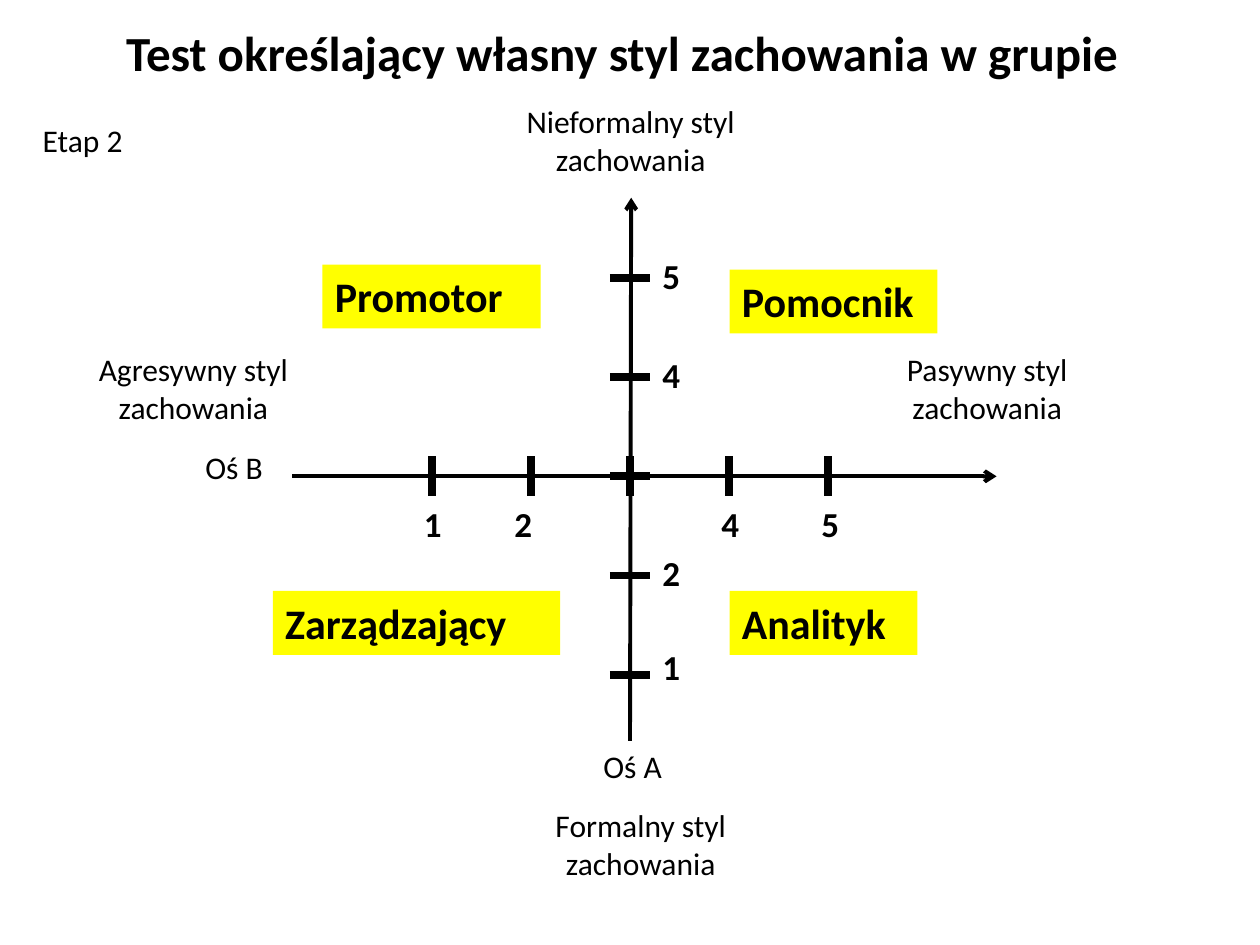
import pptx
import pptx.dml.color
import pptx.enum.shapes
import pptx.enum.text
import pptx.oxml
import pptx.oxml.ns
import pptx.util
from lxml import etree

Pt = pptx.util.Pt
RGB = pptx.dml.color.RGBColor
ALIGN = pptx.enum.text.PP_ALIGN
BLACK = RGB(0x00, 0x00, 0x00)
YELLOW = RGB(0xFF, 0xFF, 0x00)

# Text formats
PLAIN = {"name": "Calibri", "size": Pt(18), "bold": False}
DIGIT = {"name": "Calibri", "size": Pt(20), "bold": True}
ROLE = {"name": "Calibri", "size": Pt(24), "bold": True}
TITLE = {"name": "Calibri", "size": Pt(28), "bold": True}

# Axis grid: centre, gap between ticks, half the tick length
MID_X, MID_Y = 360, 272.2
STEP, HALF = 56.65, 11.5

# Value, shift of the digit's box from its tick
DIGITS_B = [(1, -11.5), (2, -16.5), (4, -11.5), (5, -11)]
DIGITS_A = [(1, -20.3), (2, -17.2), (4, -16.8), (5, -17)]

STYLES = [
    ("Agresywny styl zachowania", 36.7, 196.6),
    ("Pasywny styl zachowania", 490.3, 196.6),
    ("Formalny styl zachowania", 292.3, 457.2),
    ("Nieformalny styl zachowania", 286.6, 54.7),
]
ROLES = [
    ("Zarządzający", 155.9, 337.7, 164.2),
    ("Promotor", 184.3, 151.2, 124.6),
    ("Analityk", 416.9, 337.7, 107.3),
    ("Pomocnik", 416.9, 154.1, 118.8),
]
NOTES = [
    ("Oś A", 337.7, 423.4, 67.7),
    ("Oś B", 110.2, 252.7, 68.4),
    ("Etap 2", 17.3, 65.5, 87.8),
]


def write(shape, text, form, align=ALIGN.LEFT):
    frame = shape.text_frame
    frame.word_wrap = True
    frame.vertical_anchor = pptx.enum.text.MSO_ANCHOR.TOP
    para = frame.paragraphs[0]
    para.alignment = align
    run = para.add_run()
    run.text = text
    run.font.color.rgb = BLACK
    for key, value in form.items():
        setattr(run.font, key, value)


def label(slide, text, box, form, align=ALIGN.LEFT):
    shape = slide.shapes.add_textbox(*map(Pt, box))
    write(shape, text, form, align)


def panel(slide, text, box):
    kind = pptx.enum.shapes.MSO_SHAPE.RECTANGLE
    shape = slide.shapes.add_shape(kind, *map(Pt, box))
    shape.shadow.inherit = False
    shape.fill.solid()
    shape.fill.fore_color.rgb = YELLOW
    shape.line.fill.background()
    write(shape, text, ROLE)


def stroke(slide, ends, width, arrow=False):
    kind = pptx.enum.shapes.MSO_CONNECTOR.STRAIGHT
    line = slide.shapes.add_connector(kind, *map(Pt, ends))
    line.line.color.rgb = BLACK
    line.line.width = Pt(width)
    qn = pptx.oxml.ns.qn
    if arrow:
        etree.SubElement(line.line._get_or_add_ln(), qn("a:tailEnd"), type="arrow")
    etree.SubElement(line._element.spPr, qn("a:effectLst"))


def tick_x(value):
    return MID_X + (value - 3) * STEP


def tick_y(value):
    return MID_Y - (value - 3) * STEP


def axes(slide):
    stroke(slide, (MID_X, 423.4, 360.7, 113), 2.25, arrow=True)
    stroke(slide, (167, MID_Y, 569.5, MID_Y), 2.25, arrow=True)
    for value in range(1, 6):
        y = tick_y(value)
        stroke(slide, (MID_X - HALF, y, MID_X + HALF, y), 4.5)
    for value in range(1, 6):
        x = tick_x(value)
        stroke(slide, (x, MID_Y - HALF, x, MID_Y + HALF), 4.5)


def digits(slide):
    for value, shift in DIGITS_B:
        label(slide, str(value), (tick_x(value) + shift, 283.7, 28, 31.7), DIGIT)
    for value, shift in DIGITS_A:
        label(slide, str(value), (371.5, tick_y(value) + shift, 28, 31.7), DIGIT)


def main():
    deck = pptx.Presentation()
    deck.slide_width, deck.slide_height = Pt(720), Pt(540)
    slide = deck.slides.add_slide(deck.slide_layouts[6])

    # Axes with ticks and digits
    axes(slide)
    digits(slide)

    # Axis names and behaviour styles
    for text, x, y, width in NOTES:
        label(slide, text, (x, y, width, 30), PLAIN)
    for text, x, y in STYLES:
        label(slide, text, (x, y, 147.6, 53), PLAIN, ALIGN.CENTER)

    # Roles in the four quarters
    for text, x, y, width in ROLES:
        panel(slide, text, (x, y, width, 36.5))

    # Title
    label(slide, "Test określający własny styl zachowania w grupie",
          (65, 9.4, 607, 41), TITLE)

    deck.save("out.pptx")


if __name__ == "__main__":
    main()
